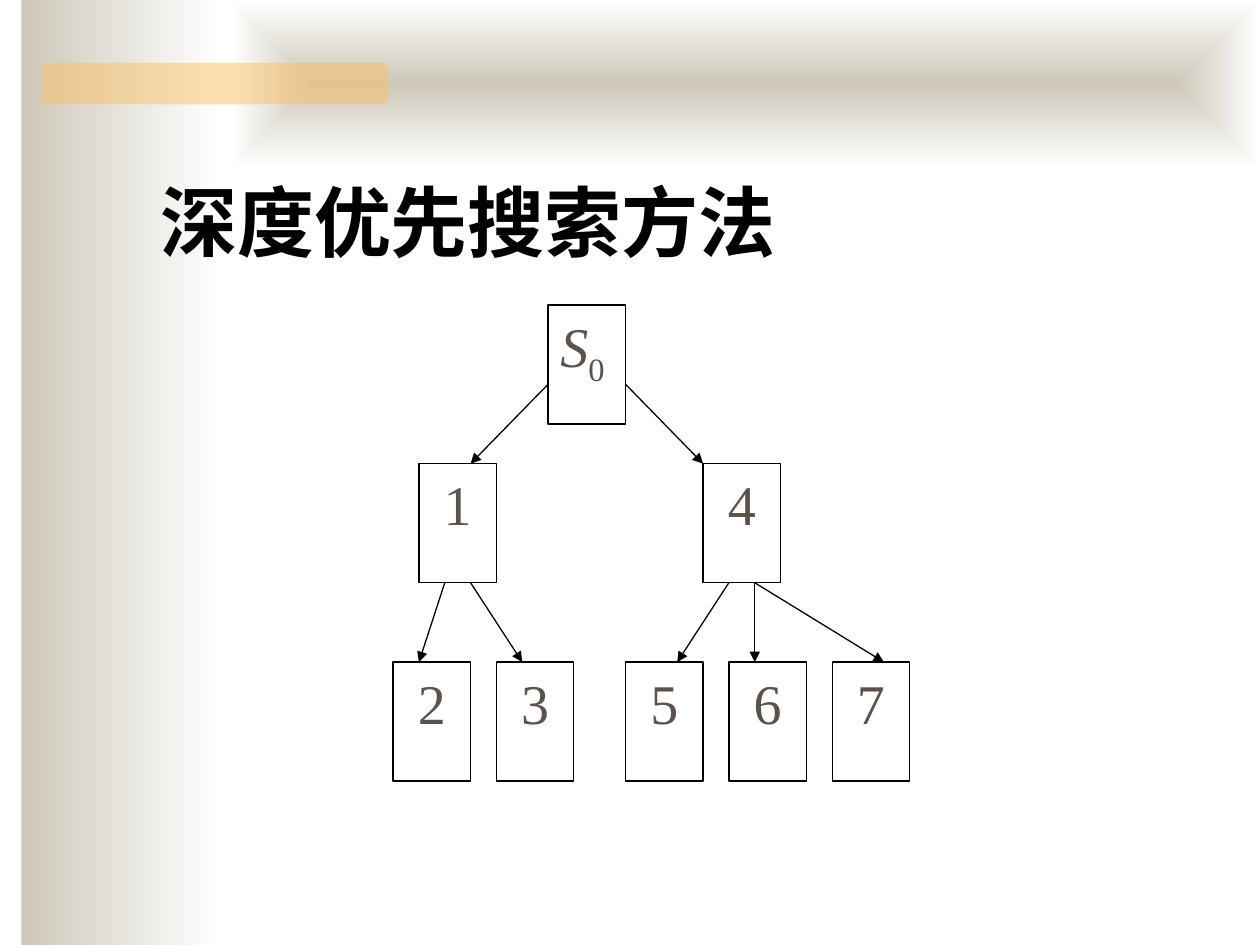
from lxml.etree import SubElement
from pptx import Presentation
from pptx.dml.color import RGBColor
from pptx.enum.shapes import MSO_CONNECTOR, MSO_SHAPE
from pptx.enum.text import MSO_ANCHOR, MSO_AUTO_SIZE, PP_ALIGN
from pptx.oxml import parse_xml
from pptx.oxml.ns import nsdecls, qn
from pptx.util import Inches, Pt

BLACK = RGBColor(0x00, 0x00, 0x00)
WHITE = RGBColor(0xFF, 0xFF, 0xFF)
SAND = RGBColor(0xCE, 0xC8, 0xBA)
GOLD = RGBColor(0xFA, 0xC1, 0x64)
BROWN = RGBColor(0x5B, 0x52, 0x49)
FACE = "Times New Roman"

# The tree lies on a grid of 20 columns and 12 rows; a node takes 3 by 3.
COLS, ROWS, SPAN = 20, 12, 3
NODES = [("S0", 6, 0), ("1", 1, 4), ("4", 12, 4),
         ("2", 0, 9), ("3", 4, 9), ("5", 9, 9), ("6", 13, 9), ("7", 17, 9)]
LINKS = [((6, 2), (3, 4)), ((9, 2), (12, 4)),
         ((2, 7), (1, 9)), ((3, 7), (5, 9)),
         ((13, 7), (11, 9)), ((14, 7), (14, 9)), ((14, 7), (19, 9))]


def add_rect(shapes, left, top, width, height):
    rect = shapes.add_shape(MSO_SHAPE.RECTANGLE, Inches(left), Inches(top),
                            Inches(width), Inches(height))
    rect.shadow.inherit = False
    rect.line.fill.background()
    return rect


def fade(rect, center=False):
    """Fill from sand to white, left to right or from the center out."""
    rect.fill.gradient()
    rect.fill.gradient_angle = 0
    for stop, color, place in zip(rect.fill.gradient_stops, (SAND, WHITE), (0, 1)):
        stop.color.rgb = color
        stop.position = place
    if center:
        lin = rect._element.spPr.find(".//" + qn("a:lin"))
        lin.getparent().replace(lin, parse_xml(
            f'<a:path {nsdecls("a")} path="rect">'
            '<a:fillToRect l="50000" t="50000" r="50000" b="50000"/></a:path>'))


def add_decor(shapes, left, top, width, height):
    fade(add_rect(shapes, left + 0.17, top, 1.58, height))
    fade(add_rect(shapes, left + 1.83, top, width - 1.83, 1.33), center=True)
    bar = add_rect(shapes, left + 0.33, top + 0.5, 2.75, 0.33)
    bar.fill.solid()
    bar.fill.fore_color.rgb = GOLD
    color = bar._element.spPr.find(".//" + qn("a:srgbClr"))
    SubElement(color, qn("a:alpha")).set("val", "50000")


def set_title(title, left, top, width, height):
    """Place and format the title, in front of all other shapes."""
    title._element.getparent().append(title._element)
    title.left, title.top = Inches(left), Inches(top)
    title.width, title.height = Inches(width), Inches(height)
    frame = title.text_frame
    frame.text = "深度优先搜索方法"
    frame.auto_size = MSO_AUTO_SIZE.NONE
    frame.vertical_anchor = MSO_ANCHOR.BOTTOM
    line = frame.paragraphs[0]
    line.alignment = PP_ALIGN.LEFT
    line.font.name, line.font.size, line.font.bold = FACE, Pt(44), True
    line.font.color.rgb = BLACK


def add_node(shapes, label, left, top, width, height):
    node = add_rect(shapes, left, top, width, height)
    node.fill.solid()
    node.fill.fore_color.rgb = WHITE
    node.line.color.rgb = BLACK
    node.line.width = Pt(0.75)
    frame = node.text_frame
    frame.vertical_anchor = MSO_ANCHOR.TOP
    line = frame.paragraphs[0]
    line.alignment = PP_ALIGN.CENTER
    line.font.name, line.font.size = FACE, Pt(32)
    line.font.color.rgb = BROWN
    runs = [line.add_run() for _ in label]
    for run, char in zip(runs, label):
        run.text = char
    if len(runs) > 1:
        line.alignment = PP_ALIGN.JUSTIFY
        runs[0].font.italic = True
        runs[1]._r.get_or_add_rPr().set("baseline", "-25000")


def add_arrow(shapes, start, end):
    arrow = shapes.add_connector(MSO_CONNECTOR.STRAIGHT,
                                 *map(Inches, start), *map(Inches, end))
    arrow.line.color.rgb = BLACK
    arrow.line.width = Pt(0.75)
    SubElement(arrow.line._get_or_add_ln(), qn("a:tailEnd")).set("type", "triangle")
    SubElement(arrow._element.spPr, qn("a:effectLst"))


def add_tree(shapes, left, top, width, height):
    dx, dy = width / COLS, height / ROWS

    def spot(col, row):
        return left + col * dx, top + row * dy

    group = shapes.add_group_shape().shapes
    for label, col, row in NODES:
        add_node(group, label, *spot(col, row), SPAN * dx, SPAN * dy)
    for start, end in LINKS:
        add_arrow(group, spot(*start), spot(*end))


def main():
    deck = Presentation()
    deck.slide_width, deck.slide_height = Inches(10), Inches(7.5)
    slide = deck.slides.add_slide(deck.slide_layouts[5])
    add_decor(slide.shapes, 0, 0, 10, 7.5)
    add_tree(slide.shapes, 3.12, 2.42, 4.1, 3.78)
    set_title(slide.shapes.title, 1.17, 0.92, 8.5, 1.25)
    deck.save("out.pptx")


if __name__ == "__main__":
    main()
